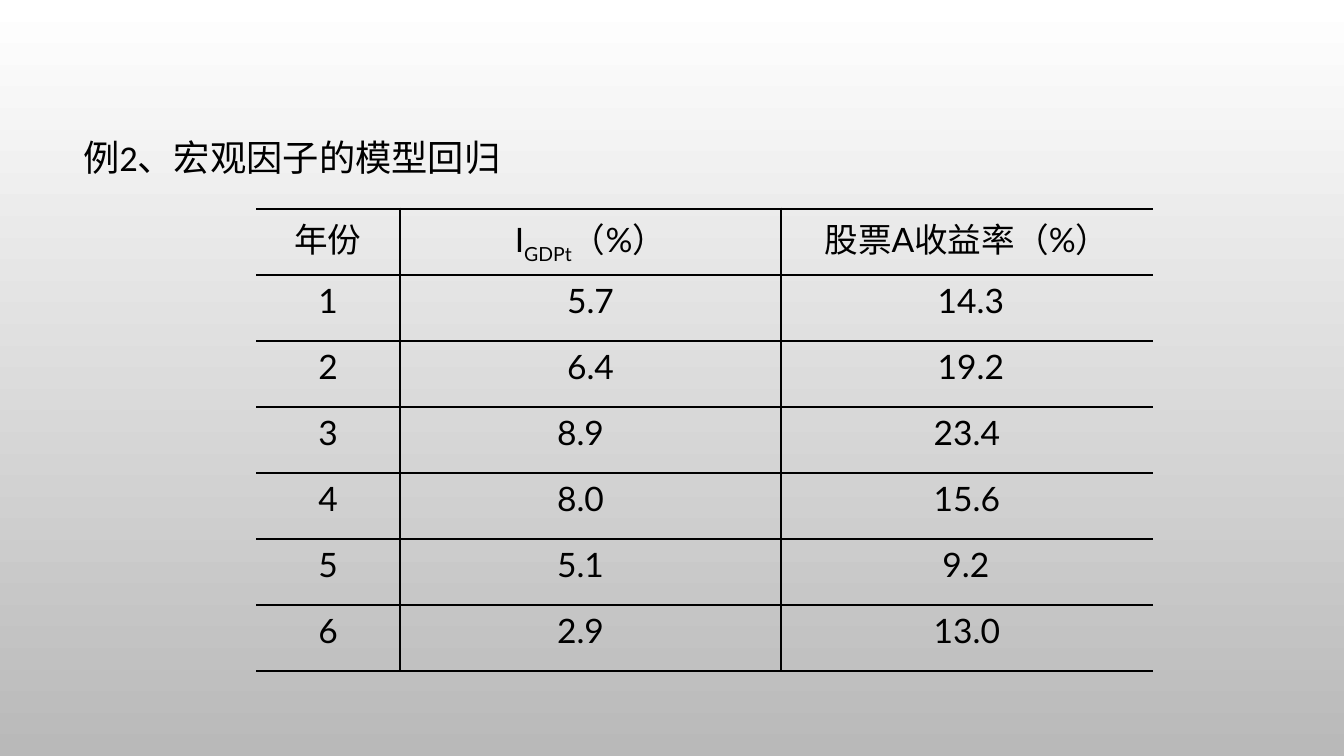
from dataclasses import dataclass

from lxml.etree import SubElement
from pptx import Presentation
from pptx.dml.color import RGBColor
from pptx.enum.text import MSO_ANCHOR as Anchor, MSO_AUTO_SIZE as AutoSize, PP_ALIGN as Align
from pptx.oxml.ns import qn
from pptx.util import Emu, Inches, Pt

TITLE_ONLY = 5
EMU_PER_PX = Inches(1) / 100.8


@dataclass(frozen=True)
class Theme:
    ink: str = "000000"
    sky: str = "FFFFFF"
    ground: str = "B9B9B9"
    title_font: str = "Calibri"
    table_font: str = "Lato"
    title_size: float = 25.9
    table_size: float = 24
    thin: float = 1
    thick: float = 2.25


def px(length):
    return Emu(round(length * EMU_PER_PX))


class Page:
    def __init__(self, deck, theme):
        self.theme = theme
        self.slide = deck.slides.add_slide(deck.slide_layouts[TITLE_ONLY])

    def background(self):
        fill = self.slide.background.fill
        fill.gradient()
        fill.gradient_angle = 270
        colours = (self.theme.sky, self.theme.ground)
        for position, (stop, colour) in enumerate(zip(fill.gradient_stops, colours)):
            stop.position = position
            stop.color.rgb = RGBColor.from_string(colour)

    def span(self, para, text, font, size, baseline=0):
        run = para.add_run()
        run.text = text
        run.font.name = font
        run.font.size = Pt(size)
        run.font.color.rgb = RGBColor.from_string(self.theme.ink)
        if baseline:
            run._r.get_or_add_rPr().set("baseline", str(baseline * 1000))

    def title(self, text, left, top, width, height):
        box = self.slide.shapes.title
        box.left, box.top, box.width, box.height = map(px, (left, top, width, height))
        frame = box.text_frame
        frame.word_wrap = True
        frame.auto_size = AutoSize.NONE
        frame.vertical_anchor = Anchor.MIDDLE
        para = frame.paragraphs[0]
        para.alignment = Align.LEFT
        para.line_spacing = 0.9
        self.span(para, text, self.theme.title_font, self.theme.title_size)

    def border(self, cell, side, width):
        """Draw one cell edge; a width of 0 leaves it open."""
        line = SubElement(cell._tc.get_or_add_tcPr(), qn(f"a:ln{side}"), w=str(Pt(width)))
        if not width:
            SubElement(line, qn("a:noFill"))
            return
        fill = SubElement(line, qn("a:solidFill"))
        SubElement(fill, qn("a:srgbClr"), val=self.theme.ink)

    def table(self, rows, left, top, widths, row_height, nudges):
        """Rows hold cells, cells hold (text, baseline) spans; nudges shift cells sideways."""
        thin, thick = self.theme.thin, self.theme.thick
        last_row, last_column = len(rows) - 1, len(widths) - 1
        table = self.slide.shapes.add_table(
            len(rows), len(widths), px(left), px(top),
            px(sum(widths)), px(row_height * len(rows))).table
        table.first_row = table.horz_banding = False
        for column, width in zip(table.columns, widths):
            column.width = px(width)
        for r, row in enumerate(rows):
            table.rows[r].height = px(row_height)
            for c, spans in enumerate(row):
                cell = table.cell(r, c)
                self.border(cell, "L", thin if c else 0)
                self.border(cell, "R", thin if c < last_column else 0)
                self.border(cell, "T", thin if r else thick)
                self.border(cell, "B", thin if r < last_row else thick)
                cell.fill.background()
                nudge = nudges.get((r, c), 0)
                cell.margin_left = px(10 + 2 * max(nudge, 0))
                cell.margin_right = px(10 + 2 * max(-nudge, 0))
                para = cell.text_frame.paragraphs[0]
                para.alignment = Align.CENTER
                for text, baseline in spans:
                    self.span(para, text, self.theme.table_font,
                              self.theme.table_size, baseline)


def main():
    deck = Presentation()
    deck.slide_width, deck.slide_height = px(1344), px(756)
    page = Page(deck, Theme())
    page.background()
    page.title("例2、宏观因子的模型回归", 73, 126, 466, 68)

    header = [[("年份", 0)],
              [("I", 0), ("GDPt", -25), ("（%）", 0)],
              [("股票A收益率（%）", 0)]]
    growth = ["5.7", "6.4", "8.9", "8.0", "5.1", "2.9"]
    returns = ["14.3", "19.2", "23.4", "15.6", "9.2", "13.0"]
    records = [[[(text, 0)] for text in (str(year), *values)]
               for year, values in enumerate(zip(growth, returns), 1)]
    nudges = {(1, 2): 4, (2, 2): 4, (5, 2): -1}
    nudges.update({(year, 1): -10 for year in range(3, 7)})
    page.table([header, *records], 256, 209, (144, 381, 372), 66, nudges)
    deck.save("out.pptx")


if __name__ == "__main__":
    main()
